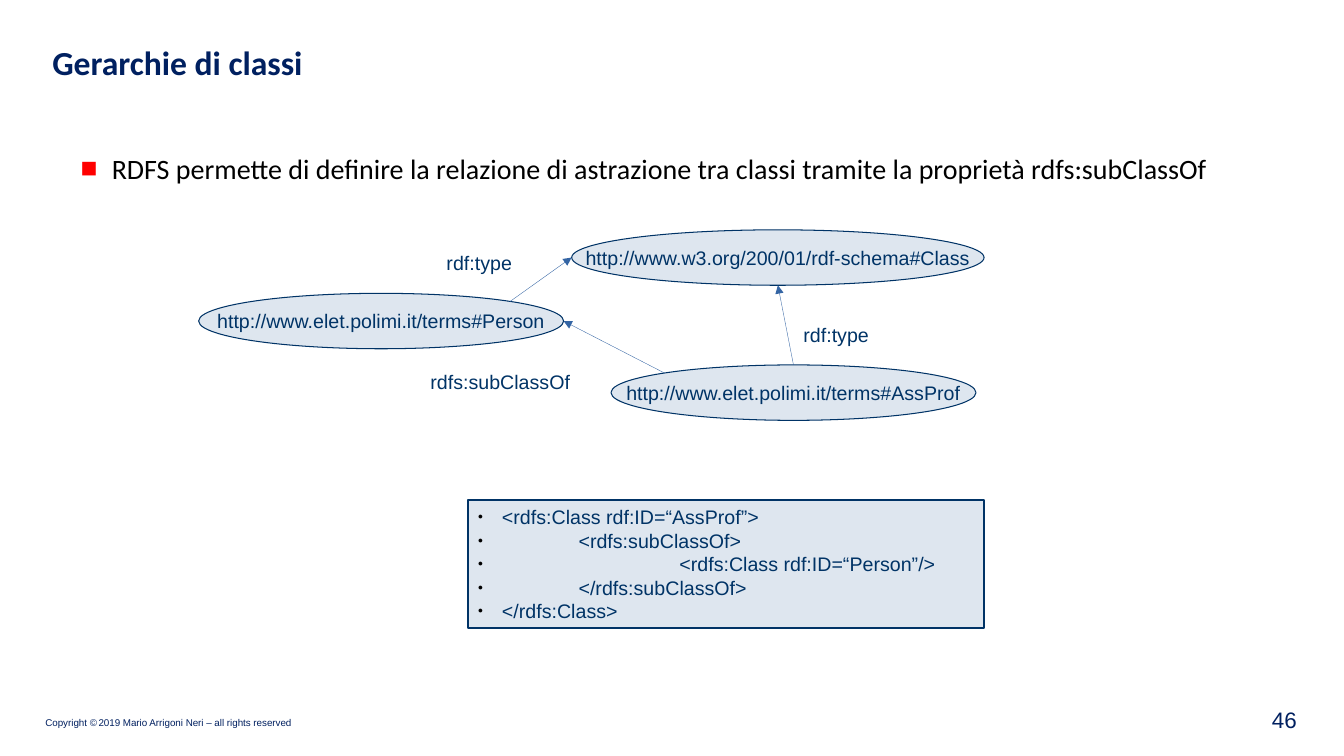
from math import cos, radians, sin

from lxml.etree import SubElement
from pptx import Presentation
from pptx.dml.color import RGBColor
from pptx.enum.shapes import MSO_CONNECTOR, MSO_SHAPE
from pptx.enum.text import MSO_ANCHOR, PP_ALIGN
from pptx.oxml.ns import qn
from pptx.util import Inches, Pt

COLORS = {
    "navy": "002060", "ink": "003366", "panel": "DEE6EF",
    "arrow": "3465A4", "red": "FF0000", "black": "000000",
}


def color(name):
    return RGBColor.from_string(COLORS[name])


def add_run(p, text, size, ink, font="Arial", bold=False):
    r = p.add_run()
    r.text = text
    r.font.size = Pt(size)
    r.font.name = font
    r.font.bold = bold
    r.font.color.rgb = color(ink)


def add_text_box(s, box, wrap=True, anchor=MSO_ANCHOR.TOP, inset=None):
    tf = s.shapes.add_textbox(*map(Inches, box)).text_frame
    tf.word_wrap = wrap
    tf.vertical_anchor = anchor
    if inset is not None:
        tf.margin_left = tf.margin_right = Inches(inset)
        tf.margin_top = tf.margin_bottom = Inches(inset)
    return tf


def set_bullet(p, char, ink, indent, hanging, percent=100):
    pPr = p._p.get_or_add_pPr()
    pPr.set("marL", str(Inches(indent)))
    pPr.set("indent", str(-Inches(hanging)))
    clr = SubElement(pPr, qn("a:buClr"))
    SubElement(clr, qn("a:srgbClr"), val=COLORS[ink])
    SubElement(pPr, qn("a:buSzPct"), val=str(percent * 1000))
    SubElement(pPr, qn("a:buFont"), typeface="Arial")
    SubElement(pPr, qn("a:buChar"), char=char)


def style_panel(sp, width):
    sp.shadow.inherit = False
    sp.fill.solid()
    sp.fill.fore_color.rgb = color("panel")
    sp.line.color.rgb = color("ink")
    sp.line.width = Pt(width)


def add_title(s, box):
    p = add_text_box(s, box).paragraphs[0]
    add_run(p, "Gerarchie di classi", 24, "navy", "Calibri", True)


def add_statement(s, box):
    p = add_text_box(s, box).paragraphs[0]
    set_bullet(p, "■", "red", 0.59, 0.31)
    add_run(p, "RDFS permette di definire la relazione di astrazione tra classi "
               "tramite la proprietà rdfs:subClassOf", 20, "black", "Calibri")


def rim_point(box, degrees):
    """Point on an ellipse, counted clockwise from its right end."""
    x, y, w, h = box
    a = radians(degrees)
    return x + w / 2 * (1 + cos(a)), y + h / 2 * (1 + sin(a))


def add_node(s, box, uri):
    sp = s.shapes.add_shape(MSO_SHAPE.OVAL, *map(Inches, box))
    style_panel(sp, 0.75)
    tf = sp.text_frame
    tf.word_wrap = False
    tf.vertical_anchor = MSO_ANCHOR.MIDDLE
    p = tf.paragraphs[0]
    p.alignment = PP_ALIGN.CENTER
    add_run(p, uri, 14, "ink")


def add_arrow(s, start, end):
    line = s.shapes.add_connector(MSO_CONNECTOR.STRAIGHT, *map(Inches, start + end))
    line.line.color.rgb = color("arrow")
    line.line.width = Pt(0.25)
    SubElement(line.line._get_or_add_ln(), qn("a:tailEnd"), type="triangle")
    SubElement(line._element.spPr, qn("a:effectLst"))


def add_graph(s, box):
    x, y, _, _ = box
    # Nodes
    nodes = {
        "Class": ((x + 3.7, y, 4.09, 0.55), "http://www.w3.org/200/01/rdf-schema#Class"),
        "Person": ((x, y + 0.63, 3.62, 0.55), "http://www.elet.polimi.it/terms#Person"),
        "AssProf": ((x + 4.09, y + 1.34, 3.62, 0.55), "http://www.elet.polimi.it/terms#AssProf"),
    }
    for node_box, uri in nodes.values():
        add_node(s, node_box, uri)
    # Relations: source, rim angle, target, rim angle
    for source, leave, target, arrive in [
        ("AssProf", 270, "Class", 90),
        ("Person", 315, "Class", 180),
        ("AssProf", 225, "Person", 0),
    ]:
        add_arrow(s, rim_point(nodes[source][0], leave), rim_point(nodes[target][0], arrive))
    # Relation labels
    for text, dx, dy, width in [
        ("rdf:type", 5.9, 0.87, 0.85),
        ("rdf:type", 2.36, 0.16, 0.85),
        ("rdfs:subClassOf", 2.2, 1.34, 1.59),
    ]:
        tf = add_text_box(s, (x + dx, y + dy, width, 0.34), wrap=False)
        add_run(tf.paragraphs[0], text, 14, "ink")


def add_code(s, box):
    sp = s.shapes.add_shape(MSO_SHAPE.RECTANGLE, *map(Inches, box))
    style_panel(sp, 1)
    tf = sp.text_frame
    tf.word_wrap = True
    tf.vertical_anchor = MSO_ANCHOR.TOP
    for i, (indent, code) in enumerate([
        (0.24, "<rdfs:Class rdf:ID=“AssProf”>"),
        (1, "<rdfs:subClassOf>"),
        (2, "<rdfs:Class rdf:ID=“Person”/>"),
        (1, "</rdfs:subClassOf>"),
        (0.24, "</rdfs:Class>"),
    ]):
        p = tf.add_paragraph() if i else tf.paragraphs[0]
        p.alignment = PP_ALIGN.LEFT
        p.line_spacing = Pt(16.8)
        set_bullet(p, "●", "black", indent, indent, 45)
        add_run(p, code, 14, "ink")


def add_footer(s, box):
    x, y, w, h = box
    # Copyright line
    tf = add_text_box(s, (x, y + 0.13, 2.49, 0.16), False, MSO_ANCHOR.BOTTOM, 0.02)
    for text, size in [("Copyright ©", 7), (" ", 4),
                       ("2019 Mario Arrigoni Neri – all rights reserved", 7)]:
        add_run(tf.paragraphs[0], text, size, "navy")
    # Slide number
    tf = add_text_box(s, (x + w - 0.55, y, 0.55, h), anchor=MSO_ANCHOR.MIDDLE)
    p = tf.paragraphs[0]
    p.alignment = PP_ALIGN.RIGHT
    add_run(p, "46", 16, "navy")


def main():
    prs = Presentation()
    prs.slide_width, prs.slide_height = Inches(13.33), Inches(7.5)
    s = prs.slides.add_slide(prs.slide_layouts[6])
    add_title(s, (0.42, 0.37, 12.51, 0.65))
    add_statement(s, (0.42, 1.45, 12.38, 0.45))
    add_graph(s, (1.97, 2.28, 7.79, 1.89))
    add_code(s, (4.64, 4.96, 5.12, 1.27))
    add_footer(s, (0.43, 6.96, 12.53, 0.35))
    prs.save("out.pptx")


if __name__ == "__main__":
    main()
